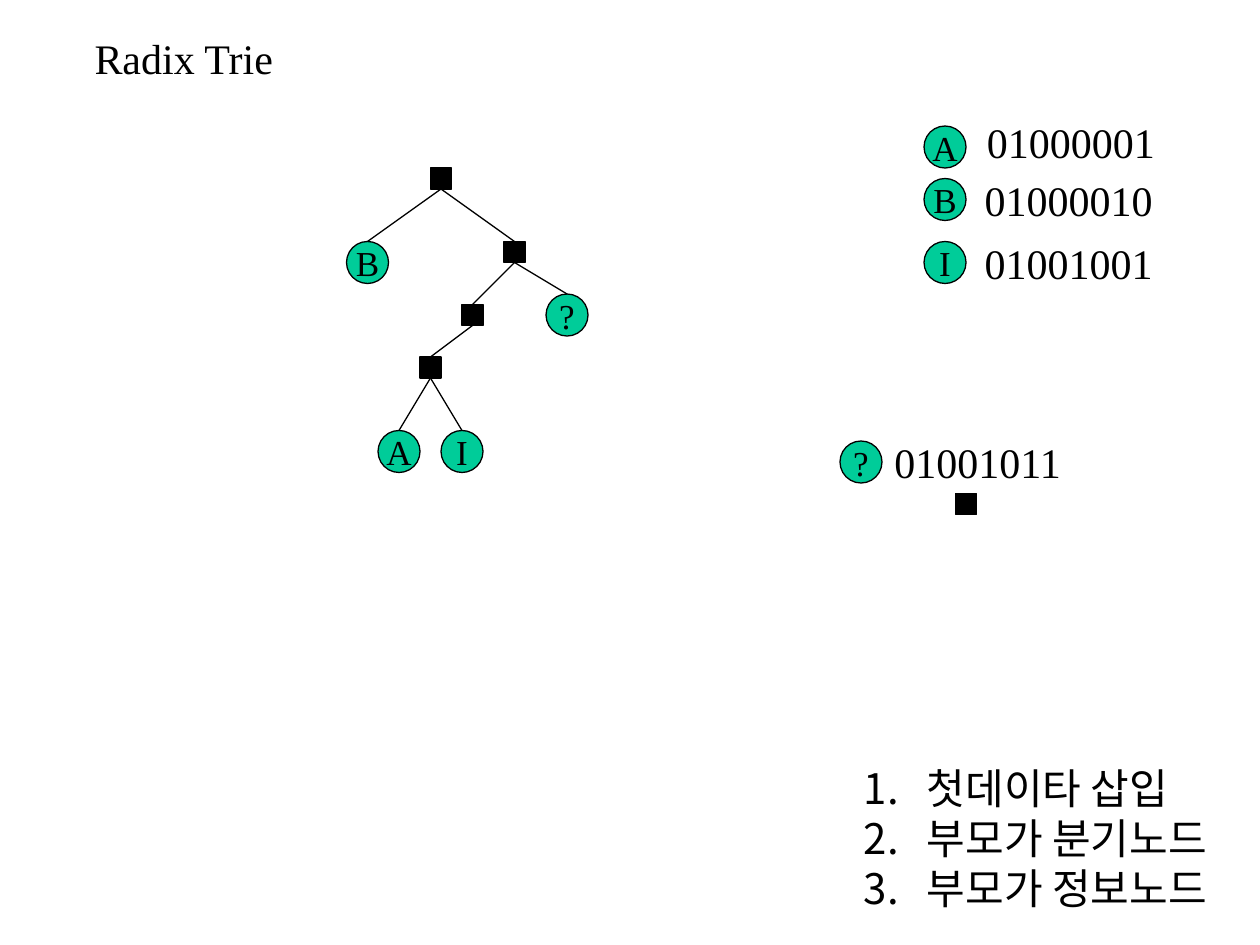
"""Build a slide that shows a radix trie, its keys and the insert cases."""
from dataclasses import dataclass

from lxml.etree import SubElement as Sub
from pptx import Presentation
from pptx.dml.color import RGBColor as Rgb
from pptx.enum.shapes import MSO_CONNECTOR as Conn, MSO_SHAPE as Kind
from pptx.enum.text import MSO_ANCHOR as Anchor, MSO_AUTO_SIZE as Fit, PP_ALIGN as Align
from pptx.oxml.ns import qn
from pptx.shapes.autoshape import Shape
from pptx.slide import Slide
from pptx.util import Inches, Pt


@dataclass(frozen=True)
class Theme:
    font: str = "Times New Roman"
    ink: str = "000000"
    leaf: str = "00CC99"
    body: int = 24
    small: int = 20
    line: float = 0.75


@dataclass(frozen=True)
class Node:
    mid: int
    top: int
    text: str = ""


@dataclass(frozen=True)
class Key:
    node: Node
    bits: str
    left: float
    top: float


LOOK = Theme()
COLS, ROWS = 120, 90
WIDE, HIGH = Inches(10), Inches(7.5)

TRIE = {
    "root": Node(42, 16),
    "B": Node(35, 23, "B"),
    "fork": Node(49, 23),
    "left": Node(45, 29),
    "?": Node(54, 28, "?"),
    "low": Node(41, 34),
    "A": Node(38, 41, "A"),
    "I": Node(44, 41, "I"),
}
EDGES = [("root", "B"), ("root", "fork"), ("fork", "left"), ("fork", "?"),
         ("left", "low"), ("low", "A"), ("low", "I")]
KEYS = [
    Key(Node(90, 12, "A"), "01000001", 92.8, 10.5),
    Key(Node(90, 17, "B"), "01000010", 92.6, 16),
    Key(Node(90, 23, "I"), "01001001", 92.6, 22),
    Key(Node(82, 42, "?"), "01001011", 84, 41),
]
MARK = Node(92, 47)
CASES = ["첫데이타 삽입", "부모가 분기노드", "부모가 정보노드"]


def col(num: float) -> int:
    """Turn grid columns into a length."""
    return round(WIDE * num / COLS)


def row(num: float) -> int:
    """Turn grid rows into a length."""
    return round(HIGH * num / ROWS)


def number(para) -> None:
    """Give a paragraph an automatic number and a hanging indent."""
    prop = para._p.get_or_add_pPr()
    prop.set("marL", str(Inches(0.5)))
    prop.set("indent", str(-Inches(0.5)))
    tint = Sub(prop, qn("a:buClr"))
    Sub(tint, qn("a:srgbClr"), val=LOOK.ink)
    Sub(prop, qn("a:buFontTx"))
    Sub(prop, qn("a:buAutoNum"), type="arabicPeriod")


def write(shape: Shape, *lines: str, size: int = LOOK.body, align=Align.LEFT,
          anchor=Anchor.TOP, fit=Fit.SHAPE_TO_FIT_TEXT, listed: bool = False) -> None:
    """Put formatted lines of text into a shape."""
    frame = shape.text_frame
    frame.text = "\n".join(lines)
    frame.word_wrap = False
    frame.auto_size = fit
    frame.vertical_anchor = anchor
    for para in frame.paragraphs:
        if listed:
            number(para)
        para.alignment = align
        para.line_spacing = 1.0
        for run in para.runs:
            run.font.name = LOOK.font
            run.font.size = Pt(size)
            run.font.color.rgb = Rgb.from_string(LOOK.ink)


def label(slide: Slide, left: float, top: float, wide: float, high: float,
          *lines: str, listed: bool = False) -> None:
    """Add a text box placed on the grid."""
    box = slide.shapes.add_textbox(col(left), row(top), col(wide), row(high))
    write(box, *lines, listed=listed)


def draw(slide: Slide, node: Node) -> Shape:
    """Draw a leaf circle, or a branch square when there is no text."""
    kind, side, fill = (Kind.OVAL, 4, LOOK.leaf) if node.text else (Kind.RECTANGLE, 2, LOOK.ink)
    shape = slide.shapes.add_shape(
        kind, col(node.mid - side / 2), row(node.top), col(side), row(side))
    shape.shadow.inherit = False
    shape.fill.solid()
    shape.fill.fore_color.rgb = Rgb.from_string(fill)
    shape.line.color.rgb = Rgb.from_string(LOOK.ink)
    shape.line.width = Pt(LOOK.line)
    if node.text:
        write(shape, node.text, size=LOOK.small, align=Align.CENTER,
              anchor=Anchor.MIDDLE, fit=Fit.NONE)
    return shape


def join(slide: Slide, head: Shape, child: Shape) -> None:
    """Link the bottom of a parent to the top of its child."""
    edge = slide.shapes.add_connector(Conn.STRAIGHT, 0, 0, 0, 0)
    edge.begin_connect(head, 2)
    edge.end_connect(child, 0)
    edge.line.color.rgb = Rgb.from_string(LOOK.ink)
    edge.line.width = Pt(LOOK.line)
    Sub(edge._element.spPr, qn("a:effectLst"))


def main() -> None:
    """Build and save the slide."""
    deck = Presentation()
    deck.slide_width, deck.slide_height = WIDE, HIGH
    slide = deck.slides.add_slide(deck.slide_layouts[5])

    title = slide.shapes.title
    title.left, title.top, title.width, title.height = col(7.8), row(2.5), col(19.6), row(6)
    write(title, "Radix Trie")

    for key in KEYS:
        draw(slide, key.node)
        label(slide, key.left, key.top, 18.4, 6, key.bits)
    draw(slide, MARK)
    label(slide, 81.1, 72, 35.3, 15.6, *CASES, listed=True)

    nodes = {name: draw(slide, node) for name, node in TRIE.items()}
    for head, child in EDGES:
        join(slide, nodes[head], nodes[child])

    deck.save("out.pptx")


if __name__ == "__main__":
    main()
